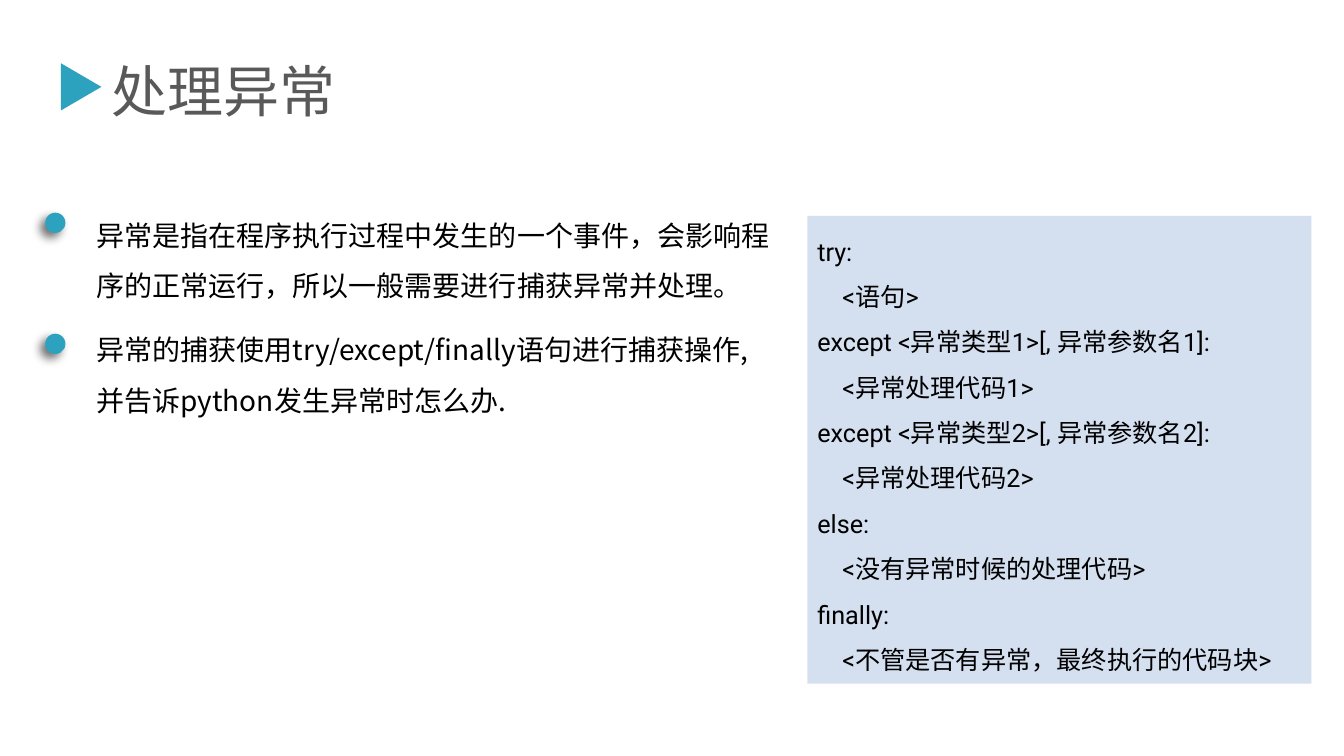
import pptx
import pptx.util
import pptx.dml.color
import pptx.enum.shapes
import pptx.enum.text
import pptx.oxml
import pptx.oxml.ns

Cm = pptx.util.Cm
Pt = pptx.util.Pt
MSO_SHAPE = pptx.enum.shapes.MSO_SHAPE

TITLE = "处理异常"
POINTS = [
    "异常是指在程序执行过程中发生的一个事件，会影响程序的正常运行，所以一般需要进行捕获异常并处理。",
    "异常的捕获使用try/except/finally语句进行捕获操作,并告诉python发生异常时怎么办.",
]
CODE = [
    ("try:", "<语句>"),
    ("except <异常类型1>[, 异常参数名1]:", "<异常处理代码1>"),
    ("except <异常类型2>[, 异常参数名2]:", "<异常处理代码2>"),
    ("else:", "<没有异常时候的处理代码>"),
    ("finally:", "<不管是否有异常，最终执行的代码块>"),
]
COLORS = {"title": "595959", "text": "000000", "accent": "2DA2BF", "panel": "D4DFEF"}
CJK_FONT = "Noto Sans CJK SC"
CODE_FONT = "Roboto"

DOT_SIZE = 0.51
DOT_LEFT = 1.14
DOT_TOP = 5.36
DOT_STEP = 3.05
CODE_INDENT = 0.63

SHADOW = (
    f'<a:effectLst {pptx.oxml.ns.nsdecls("a")}>'
    '<a:outerShdw blurRad="88900" dist="63500" dir="8100000" algn="tr" rotWithShape="0">'
    '<a:srgbClr val="000000"><a:alpha val="57000"/></a:srgbClr>'
    "</a:outerShdw></a:effectLst>"
)


def rgb(key):
    return pptx.dml.color.RGBColor.from_string(COLORS[key])


def add_filled(slide, kind, box, color):
    shape = slide.shapes.add_shape(kind, *map(Cm, box))
    shape.shadow.inherit = False
    shape.fill.solid()
    shape.fill.fore_color.rgb = rgb(color)
    shape.line.fill.background()
    return shape


def write(frame, lines, size, font, color, spacing=1.0, before=0):
    frame.word_wrap = True
    frame.vertical_anchor = pptx.enum.text.MSO_ANCHOR.TOP
    frame.text = "\n".join(lines)
    for paragraph in frame.paragraphs:
        paragraph.alignment = pptx.enum.text.PP_ALIGN.LEFT
        paragraph.line_spacing = spacing
        paragraph.space_before = Pt(before)
        for run in paragraph.runs:
            run.font.size = Pt(size)
            run.font.name = font
            run.font.color.rgb = rgb(color)
            east_asian = pptx.oxml.parse_xml(
                f'<a:ea {pptx.oxml.ns.nsdecls("a")} typeface="{CJK_FONT}"/>'
            )
            run.font._element.find(pptx.oxml.ns.qn("a:latin")).addnext(east_asian)


def main():
    deck = pptx.Presentation()
    deck.slide_width, deck.slide_height = Cm(33.87), Cm(19.05)
    slide = deck.slides.add_slide(deck.slide_layouts[6])

    title = slide.shapes.add_textbox(Cm(2.57), Cm(1.3), Cm(10.85), Cm(1.96))
    write(title.text_frame, [TITLE], 40, CJK_FONT, "title")

    marker = add_filled(
        slide, MSO_SHAPE.ISOSCELES_TRIANGLE, (1.45, 1.68, 1.19, 1.02), "accent"
    )
    marker.rotation = 90

    points = slide.shapes.add_textbox(Cm(2.18), Cm(4.95), Cm(17.63), Cm(14.58))
    write(points.text_frame, POINTS, 20, CJK_FONT, "text", 1.5, 10)

    panel = add_filled(slide, MSO_SHAPE.RECTANGLE, (20.35, 5.44, 12.7, 11.79), "panel")
    code_lines = [line for clause in CODE for line in clause]
    write(panel.text_frame, code_lines, 18, CODE_FONT, "text", 1.5)
    for body in panel.text_frame.paragraphs[1::2]:
        body._p.get_or_add_pPr().set("marL", str(Cm(CODE_INDENT)))

    for index in range(len(POINTS)):
        box = (DOT_LEFT, DOT_TOP + index * DOT_STEP, DOT_SIZE, DOT_SIZE)
        dot = add_filled(slide, MSO_SHAPE.OVAL, box, "accent")
        properties = dot._element.spPr
        effects = properties.find(pptx.oxml.ns.qn("a:effectLst"))
        properties.replace(effects, pptx.oxml.parse_xml(SHADOW))

    deck.save("out.pptx")


if __name__ == "__main__":
    main()
